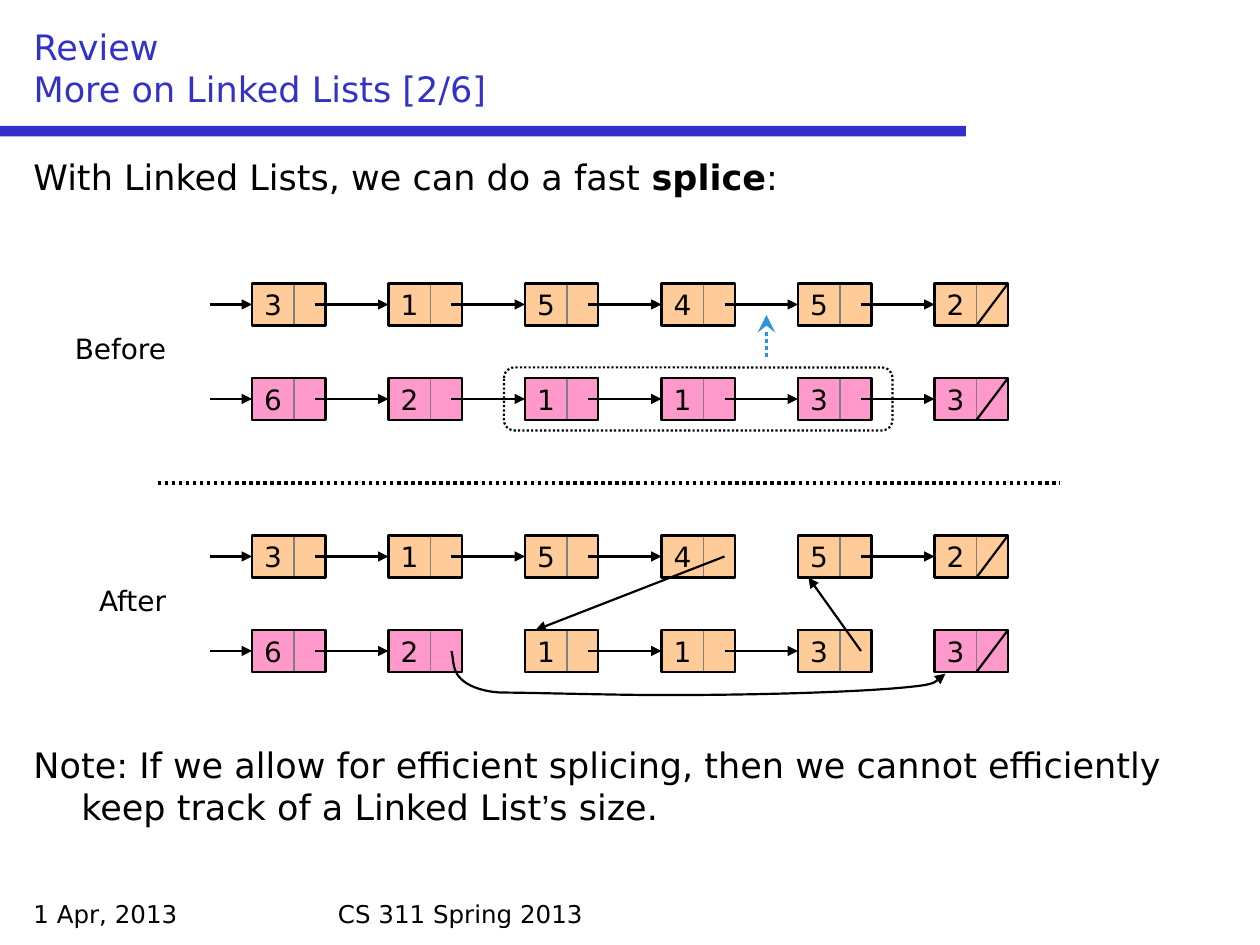
from lxml import etree
from pptx import Presentation
from pptx import util as u
from pptx.dml.color import RGBColor
from pptx.enum import dml, shapes, text
from pptx.oxml import ns

FONT = "DejaVu Sans"
BLACK, GREY, BLUE, SKY = "000000", "808080", "3232C8", "2896DC"
ORANGE, PINK = "FFCC99", "FF99CC"
STEP, CELL, LINK, HIGH = 13, 4, 3, 4


def grid(count):
    return u.Emu(round(count * u.Inches(1) / 12))


def colour(value):
    return RGBColor.from_string(value)


def sub(parent, tag, **attributes):
    return etree.SubElement(parent, ns.qn(tag), attributes)


def stroke(shape, shade, width, dash=None):
    shape.line.color.rgb = colour(shade)
    shape.line.width = u.Pt(width)
    if dash:
        shape.line.dash_style = dash


def arrowhead(shape, kind, size="med"):
    line = shape.line._get_or_add_ln()
    sub(line, "a:tailEnd", type=kind, w=size, len=size)


def add_line(page, start, end, shade=BLACK, width=1.25, dash=None):
    line = page.shapes.add_connector(
        shapes.MSO_CONNECTOR.STRAIGHT, *(grid(n) for n in (*start, *end)))
    stroke(line, shade, width, dash)
    sub(line._element.spPr, "a:effectLst")
    return line


def add_arrow(page, start, end):
    arrowhead(add_line(page, start, end), "triangle")


def add_box(page, place, fill=None, line=None, width=0.75, dash=None,
            kind=shapes.MSO_SHAPE.RECTANGLE):
    box = page.shapes.add_shape(kind, *(grid(n) for n in place))
    box.shadow.inherit = False
    if fill:
        box.fill.solid()
        box.fill.fore_color.rgb = colour(fill)
    else:
        box.fill.background()
    if line:
        stroke(box, line, width, dash)
    else:
        box.line.fill.background()
    return box


def add_span(para, words, size, shade=BLACK, bold=False, font=FONT):
    span = para.add_run()
    span.text = words
    span.font.size = u.Pt(size)
    span.font.name = font
    span.font.bold = bold
    span.font.color.rgb = colour(shade)


def add_text(page, place, spans, size, align=text.PP_ALIGN.LEFT, hanging=False):
    box = page.shapes.add_textbox(*(grid(n) for n in place))
    box.text_frame.word_wrap = True
    para = box.text_frame.paragraphs[0]
    para.alignment = align
    if hanging:
        props = para._p.get_or_add_pPr()
        props.set("marL", str(u.Inches(0.38)))
        props.set("indent", str(-u.Inches(0.38)))
    for words, style in spans:
        add_span(para, words, size, **style)


def header(page, left, top, lines):
    add_box(page, (0, top + 10, 92, 1), BLUE)
    title = page.shapes.title
    title.left, title.top, title.width, title.height = (
        grid(n) for n in (left, top, 116, 9))
    frame = title.text_frame
    frame.auto_size = text.MSO_AUTO_SIZE.NONE
    frame.vertical_anchor = text.MSO_ANCHOR.BOTTOM
    para = frame.paragraphs[0]
    para.alignment = text.PP_ALIGN.LEFT
    for index, words in enumerate(lines):
        if index:
            para.add_line_break()
        add_span(para, words, 20, BLUE)


def node(page, left, top, value, fill):
    cell = add_box(page, (left, top, CELL, HIGH), fill, GREY)
    frame = cell.text_frame
    frame.word_wrap = False
    frame.vertical_anchor = text.MSO_ANCHOR.MIDDLE
    frame.paragraphs[0].alignment = text.PP_ALIGN.CENTER
    add_span(frame.paragraphs[0], value, 16)
    add_box(page, (left + CELL, top, LINK, HIGH), fill, GREY)
    add_box(page, (left, top, CELL + LINK, HIGH), None, BLACK, 1.25)


def linked_list(page, left, top, values, fills, relinked):
    middle = top + HIGH / 2
    add_arrow(page, (left, middle), (left + 4, middle))
    for index, (value, fill) in enumerate(zip(values, fills)):
        x = left + 4 + index * STEP
        node(page, x, top, value, fill)
        if index == len(values) - 1:
            add_line(page, (x + CELL, top + HIGH), (x + CELL + LINK, top))
            continue
        target = relinked.get(index, (x + STEP, middle))
        if target:
            add_arrow(page, (x + 6, middle), target)


def stage(page, left, top, label, lower_fills, upper_links, lower_links):
    add_text(page, (left, top + 4, 12, 4.4), [(label, {})], 16,
             text.PP_ALIGN.RIGHT)
    linked_list(page, left + 15, top, "315452", [ORANGE] * 6, upper_links)
    linked_list(page, left + 15, top + 9, "621133", lower_fills, lower_links)


def splice_curve(page, left, top):
    controls = [(1, 4), (1, 8), (2, 12), (5, 29), (30, 33), (41, 33),
                (57, 33), (133, 35), (168, 35), (254, 35), (344, 32),
                (376, 27), (385, 25), (388, 21), (392, 18)]
    builder = page.shapes.build_freeform(0, 0, scale=u.Inches(0.01))
    builder.add_line_segments(controls, close=False)
    curve = builder.convert_to_shape(grid(left), grid(top))
    outline = next(curve._element.iter(ns.qn("a:path")))
    corners = outline.findall(ns.qn("a:lnTo"))
    for first in range(0, len(corners), 3):
        bend = sub(outline, "a:cubicBezTo")
        for corner in corners[first:first + 3]:
            bend.append(corner[0])
            outline.remove(corner)
    curve.shadow.inherit = False
    curve.fill.background()
    stroke(curve, BLACK, 1.25)
    arrowhead(curve, "triangle")


def splice_mark(page, left, top):
    dots = dml.MSO_LINE.ROUND_DOT
    add_box(page, (left, top, 37, 6), None, BLACK, 1.25, dots,
            shapes.MSO_SHAPE.ROUNDED_RECTANGLE)
    move = add_line(page, (left + 25, top - 1), (left + 25, top - 5), SKY, 2, dots)
    arrowhead(move, "stealth", "lg")


def footer(page, left, top):
    add_text(page, (left, top, 28, 4), [("1 Apr, 2013", {})], 14)
    add_text(page, (left + 29, top, 58, 4), [("CS 311 Spring 2013", {})], 14)


deck = Presentation()
deck.slide_width, deck.slide_height = grid(120), grid(90)
page = deck.slides.add_slide(deck.slide_layouts[5])
header(page, 2, 2, ["Review", "More on Linked Lists [2/6]"])
add_text(page, (2, 14.2, 116, 5), [
    ("With Linked Lists, we can do a fast ", {}),
    ("splice", {"bold": True}), (":", {})], 20, hanging=True)
stage(page, 5, 27, "Before", [PINK] * 6, {}, {})
stage(page, 5, 51, "After", [PINK] * 2 + [ORANGE] * 3 + [PINK],
      {3: (51, 60)}, {1: None, 4: (77, 55)})
splice_curve(page, 43, 62)
add_line(page, (15, 46), (101, 46), BLACK, 2, dml.MSO_LINE.ROUND_DOT)
splice_mark(page, 48, 35)
add_text(page, (2, 70.2, 116, 9), [
    ("Note: If we allow for efficient splicing, then we cannot efficiently "
     "keep track of a Linked List", {}),
    ("\u2019", {"font": "Arial"}), ("s size.", {})], 20, hanging=True)
footer(page, 2, 85)
deck.save("out.pptx")
